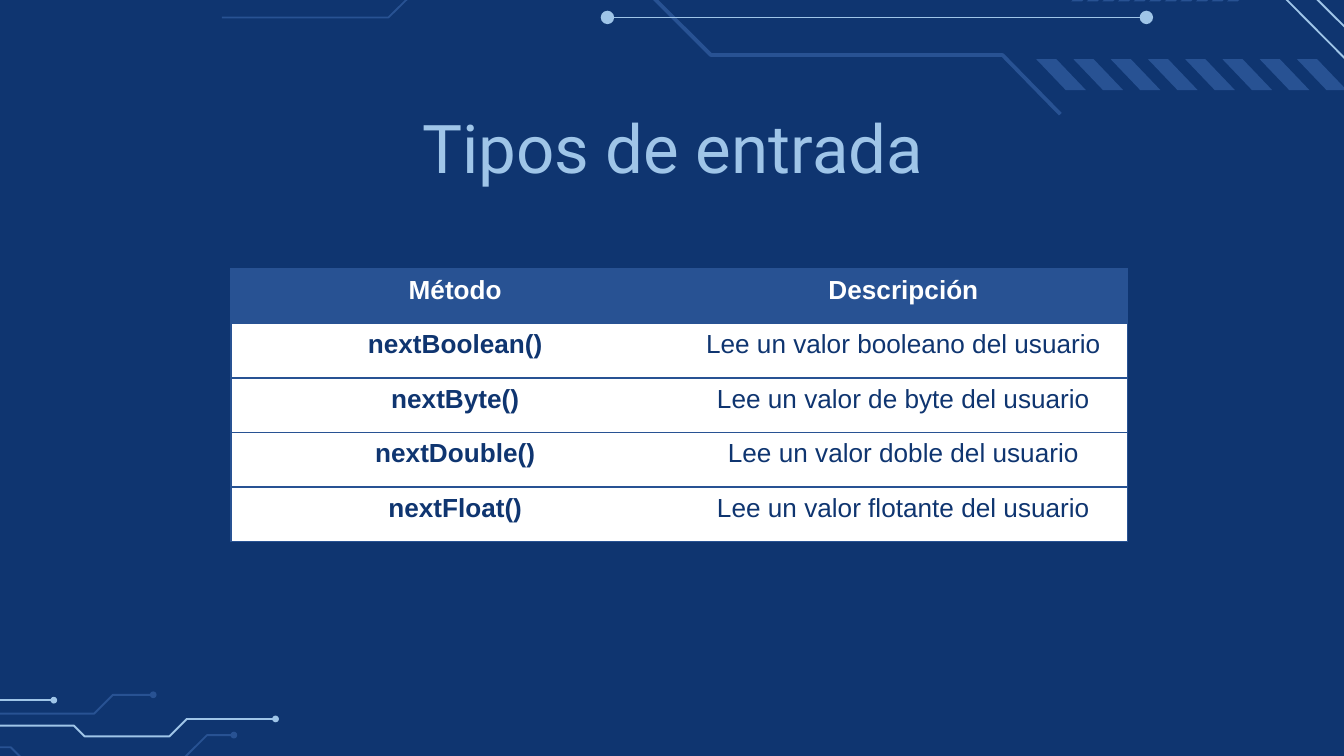
"""Build the slide "Tipos de entrada": a table of input methods on a circuit backdrop."""
from lxml import etree
from pptx import Presentation
from pptx.dml.color import RGBColor
from pptx.enum.shapes import MSO_CONNECTOR, MSO_SHAPE
from pptx.enum.text import MSO_ANCHOR, MSO_AUTO_SIZE, PP_ALIGN
from pptx.oxml import parse_xml
from pptx.oxml.ns import nsdecls, qn
from pptx.util import Inches, Pt

OVAL = MSO_SHAPE.OVAL
STRAIGHT = MSO_CONNECTOR.STRAIGHT
TOP = MSO_ANCHOR.TOP
CENTER = PP_ALIGN.CENTER
FIXED = MSO_AUTO_SIZE.NONE
HEX = {"navy": "0F3570", "blue": "285293", "sky": "9FC5E8", "white": "FFFFFF"}
RGB = {name: RGBColor.from_string(code) for name, code in HEX.items()}

prs = Presentation()
prs.slide_width = Inches(10)
prs.slide_height = Inches(10 * 9 / 16)
slide = prs.slides.add_slide(prs.slide_layouts[5])
slide.background.fill.solid()
slide.background.fill.fore_color.rgb = RGB["navy"]
shapes = slide.shapes


def draw(points, closed):
    spots = [(Inches(x), Inches(y)) for x, y in points]
    pen = shapes.build_freeform(*spots[0], scale=1.0)
    pen.add_line_segments(spots[1:], close=closed)
    shape = pen.convert_to_shape()
    shape.shadow.inherit = False
    return shape


wires = [
    ("sky", 1, [(4.14, -0.91), (4.91, -0.91), (5.7, -0.11), (7.05, -0.11),
                (7.6, -0.66), (8.92, -0.66), (10.38, 0.81)]),
    ("blue", 2, [(3.73, -0.15), (4.73, -0.15), (5.29, 0.41), (7.46, 0.41), (7.89, 0.85)]),
    ("blue", 1, [(1.65, 0.13), (2.89, 0.13), (3.41, -0.38), (4.34, -0.38)]),
    ("sky", 1.03, [(-1.73, 5.4), (0.55, 5.4), (0.63, 5.48), (1.26, 5.48),
                   (1.39, 5.35), (2.05, 5.35)]),
    ("blue", 1.03, [(-1.09, 5.56), (0.08, 5.56), (0.2, 5.68), (1.47, 5.68)]),
    ("blue", 1.03, [(1.33, 5.68), (1.54, 5.47), (1.74, 5.47)]),
    ("blue", 1.03, [(-1.14, 5.12), (-0.95, 5.31), (0.7, 5.31), (0.84, 5.17), (1.14, 5.17)]),
]
for color, width, points in wires:
    wire = draw(points, False)
    wire.fill.background()
    wire.line.color.rgb = RGB[color]
    wire.line.width = Pt(width)

lines = [(4.55, 0.13, 8.53, 0.13), (9.14, -0.66, 10.63, 0.82), (-0.78, 5.21, 0.4, 5.21)]
for ends in lines:
    line = shapes.add_connector(STRAIGHT, *[Inches(end) for end in ends])
    line.line.color.rgb = RGB["sky"]
    line.line.width = Pt(1.03)
    etree.SubElement(line._element.spPr, qn("a:effectLst"))

dots = [("sky", 4.52, 0.13, 0.1), ("sky", 8.53, 0.13, 0.1), ("sky", 2.05, 5.35, 0.05),
        ("blue", 1.74, 5.47, 0.05), ("blue", 1.14, 5.17, 0.05), ("sky", 0.4, 5.21, 0.05)]
for color, x, y, size in dots:
    dot = shapes.add_shape(OVAL, Inches(x - size / 2), Inches(y - size / 2),
                           Inches(size), Inches(size))
    dot.shadow.inherit = False
    dot.fill.solid()
    dot.fill.fore_color.rgb = RGB[color]
    dot.line.fill.background()

bar = [(0.22, 0.67), (0, 0.44), (0.15, 0.44), (0.37, 0.67)]
tick = [(0, 0.01), (0.12, -0.09), (0.01, -0.19), (0.09, -0.19), (0.19, -0.09), (0.08, 0.01)]
for outline, left, step, count in [(bar, 7.71, 1.94 / 7, 8), (tick, 7.97, 1.16 / 10, 11)]:
    for i in range(count):
        mark = draw([(left + i * step + x, y) for x, y in outline], True)
        mark.fill.solid()
        mark.fill.fore_color.rgb = RGB["blue"]
        mark.line.fill.background()

title = shapes.title
title.left, title.top = Inches(0.79), Inches(0.79)
title.width, title.height = Inches(8.43), Inches(0.53)
frame = title.text_frame
frame.text = "Tipos de entrada"
frame.auto_size = FIXED
frame.vertical_anchor = TOP
frame.margin_left = frame.margin_right = frame.margin_top = frame.margin_bottom = 0
head = frame.paragraphs[0]
head.alignment = CENTER
head.font.name = "Roboto"
head.font.size = Pt(36)
head.font.color.rgb = RGB["sky"]

rows = [
    ("Método", "Descripción"),
    ("nextBoolean()", "Lee un valor booleano del usuario"),
    ("nextByte()", "Lee un valor de byte del usuario"),
    ("nextDouble()", "Lee un valor doble del usuario"),
    ("nextFloat()", "Lee un valor flotante del usuario"),
]
table = shapes.add_table(len(rows), 2, Inches(1.72), Inches(2), Inches(6.67), Inches(2.03)).table
table.first_row = table.horz_banding = False
solid = f'<a:solidFill><a:srgbClr val="{HEX["blue"]}"/></a:solidFill>'
for r, row in enumerate(rows):
    for c, text in enumerate(row):
        cell = table.cell(r, c)
        cell.text = text
        para = cell.text_frame.paragraphs[0]
        para.alignment = CENTER
        para.font.name = "Arial"
        para.font.size = Pt(14)
        para.font.bold = r == 0 or c == 0
        para.font.color.rgb = RGB["navy" if r else "white"]
        inner = "R" if c == 0 else "L"
        for side in "LRTB":
            paint = "<a:noFill/>" if side == inner else solid
            edge = f'<a:ln{side} {nsdecls("a")} w="{Pt(1)}">{paint}</a:ln{side}>'
            cell._tc.get_or_add_tcPr().append(parse_xml(edge))
        cell.fill.solid()
        cell.fill.fore_color.rgb = RGB["white" if r else "blue"]

prs.save("out.pptx")
